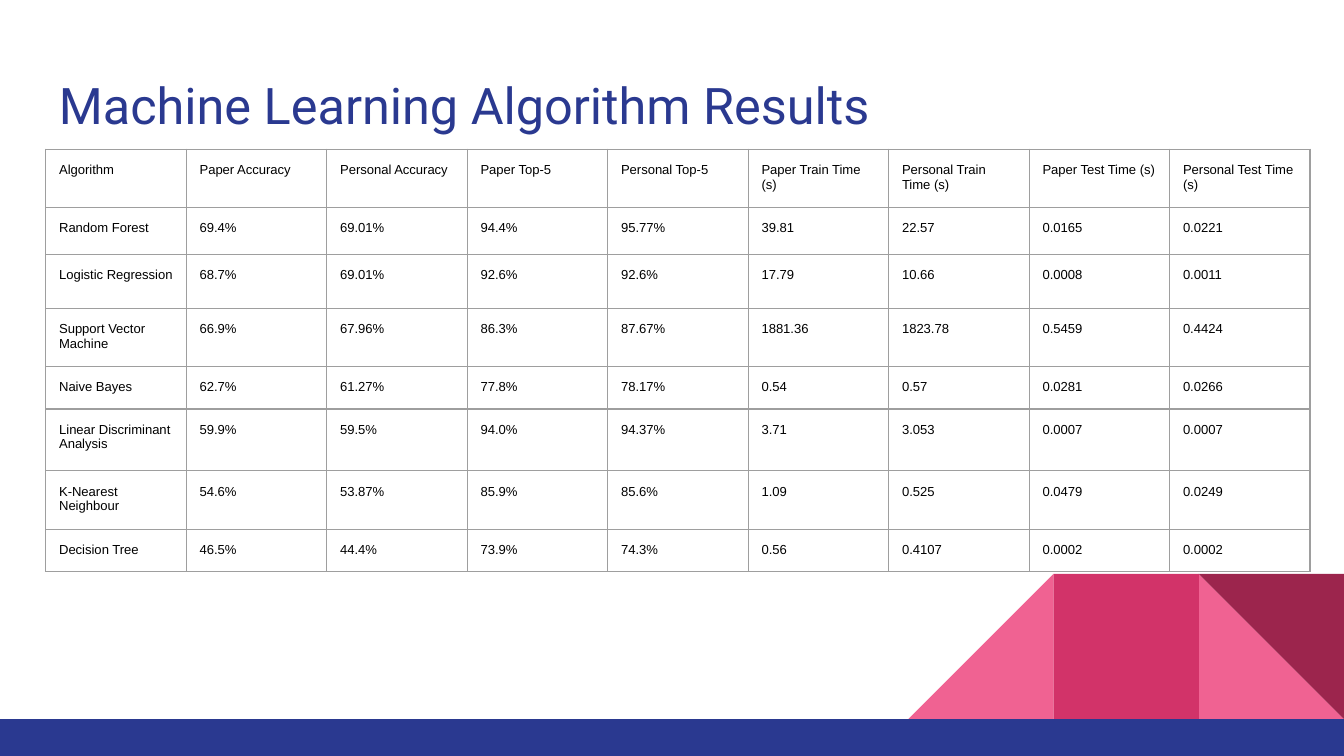
import pptx
import pptx.util
import pptx.dml.color
import pptx.enum.shapes
import pptx.enum.text
import pptx.oxml.ns
from lxml import etree

Inches = pptx.util.Inches
Pt = pptx.util.Pt
RGB = pptx.dml.color.RGBColor
KIND = pptx.enum.shapes.MSO_SHAPE

NAVY = RGB(0x2A, 0x39, 0x90)
PINK = RGB(0xF0, 0x62, 0x92)
ROSE = RGB(0xD2, 0x33, 0x69)
WINE = RGB(0x9C, 0x25, 0x4D)
GREY = RGB(0x9E, 0x9E, 0x9E)
BLACK = RGB(0, 0, 0)

TITLE = "Machine Learning Algorithm Results"
ROWS = [
    ("Algorithm", "Paper Accuracy", "Personal Accuracy", "Paper Top-5", "Personal Top-5",
     "Paper Train Time (s)", "Personal Train Time (s)", "Paper Test Time (s)",
     "Personal Test Time (s)"),
    ("Random Forest", "69.4%", "69.01%", "94.4%", "95.77%", "39.81", "22.57", "0.0165", "0.0221"),
    ("Logistic Regression", "68.7%", "69.01%", "92.6%", "92.6%", "17.79", "10.66", "0.0008", "0.0011"),
    ("Support Vector Machine", "66.9%", "67.96%", "86.3%", "87.67%", "1881.36", "1823.78", "0.5459", "0.4424"),
    ("Naive Bayes", "62.7%", "61.27%", "77.8%", "78.17%", "0.54", "0.57", "0.0281", "0.0266"),
    ("Linear Discriminant Analysis", "59.9%", "59.5%", "94.0%", "94.37%", "3.71", "3.053", "0.0007", "0.0007"),
    ("K-Nearest Neighbour", "54.6%", "53.87%", "85.9%", "85.6%", "1.09", "0.525", "0.0479", "0.0249"),
    ("Decision Tree", "46.5%", "44.4%", "73.9%", "74.3%", "0.56", "0.4107", "0.0002", "0.0002"),
]
HEIGHTS = [0.4, 0.35, 0.4, 0.4, 0.3, 0.46, 0.4, 0.3]
WIDTH = 9.41
FRAME = Inches(3.28)
PAD = Inches(0.1)

WIDE = 10
TALL = WIDE * 9 / 16
SIDE, BASE = 1.08, 5.35
TILES = [
    (KIND.RIGHT_TRIANGLE, 1, PINK, False, 0),
    (KIND.RIGHT_TRIANGLE, 3, PINK, True, 0),
    (KIND.RECTANGLE, 2, ROSE, False, 0),
    (KIND.RIGHT_TRIANGLE, 1, WINE, False, 180),
]


def add_block(slide, kind, left, top, width, height, color):
    block = slide.shapes.add_shape(kind, Inches(left), Inches(top), Inches(width), Inches(height))
    block.shadow.inherit = False
    block.fill.solid()
    block.fill.fore_color.rgb = color
    block.line.fill.background()
    return block


def add_text(frame, text, font, size, color):
    run = frame.paragraphs[0].add_run()
    run.text = text
    run.font.name = font
    run.font.size = Pt(size)
    run.font.color.rgb = color
    run.font.bold = False


def set_pad(box):
    box.margin_left = box.margin_right = box.margin_top = box.margin_bottom = PAD


def add_edges(cell):
    props = cell._tc.get_or_add_tcPr()
    name = pptx.oxml.ns.qn
    for side in ("a:lnL", "a:lnR", "a:lnT", "a:lnB"):
        line = etree.SubElement(props, name(side), w=str(Pt(0.75)))
        fill = etree.SubElement(line, name("a:solidFill"))
        etree.SubElement(fill, name("a:srgbClr"), val=str(GREY))


deck = pptx.Presentation()
deck.slide_width, deck.slide_height = Inches(WIDE), Inches(TALL)
slide = deck.slides.add_slide(deck.slide_layouts[6])

for kind, step, color, flip, turn in TILES:
    tile = add_block(slide, kind, WIDE - step * SIDE, BASE - SIDE, SIDE, SIDE, color)
    tile.rotation = turn
    if flip:
        tile.element.spPr.xfrm.set("flipH", "1")
add_block(slide, KIND.RECTANGLE, 0, BASE, WIDE, TALL - BASE, NAVY)

title = slide.shapes.add_textbox(Inches(0.34), Inches(0.45), Inches(9.32), Inches(0.66)).text_frame
title.word_wrap = True
title.vertical_anchor = pptx.enum.text.MSO_ANCHOR.MIDDLE
set_pad(title)
add_text(title, TITLE, "Roboto", 27, NAVY)

grid = slide.shapes.add_table(len(ROWS), len(ROWS[0]), Inches(0.34), Inches(1.11), FRAME, FRAME)
table = grid.table
table.first_row = table.horz_banding = False
for col in table.columns:
    col.width = Inches(WIDTH / len(ROWS[0]))
for r, (row, height) in enumerate(zip(ROWS, HEIGHTS)):
    table.rows[r].height = Inches(height)
    for c, text in enumerate(row):
        cell = table.cell(r, c)
        set_pad(cell)
        add_edges(cell)
        cell.fill.background()
        add_text(cell.text_frame, text, "Arial", 7, BLACK)
grid.width = grid.height = FRAME

deck.save("out.pptx")
